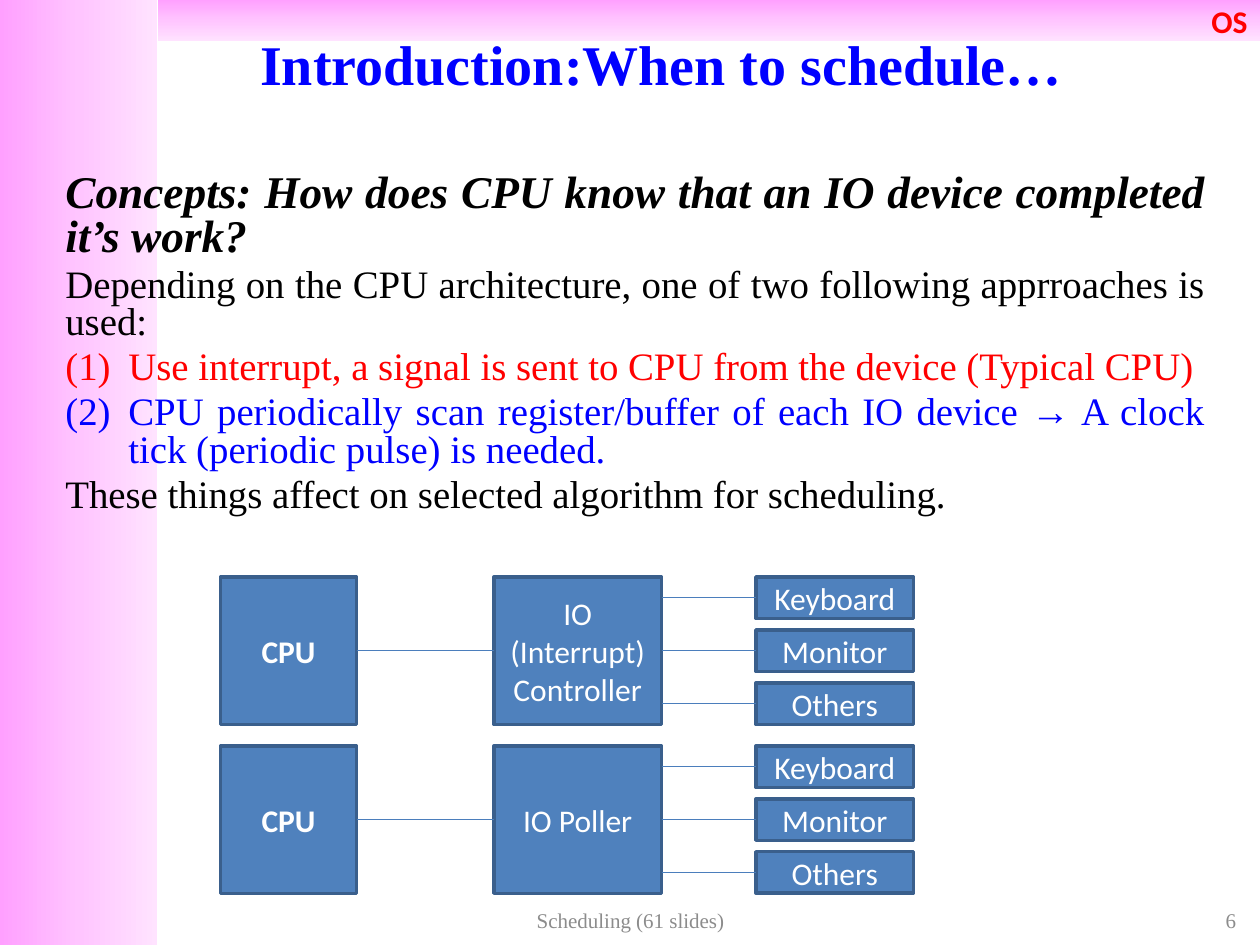
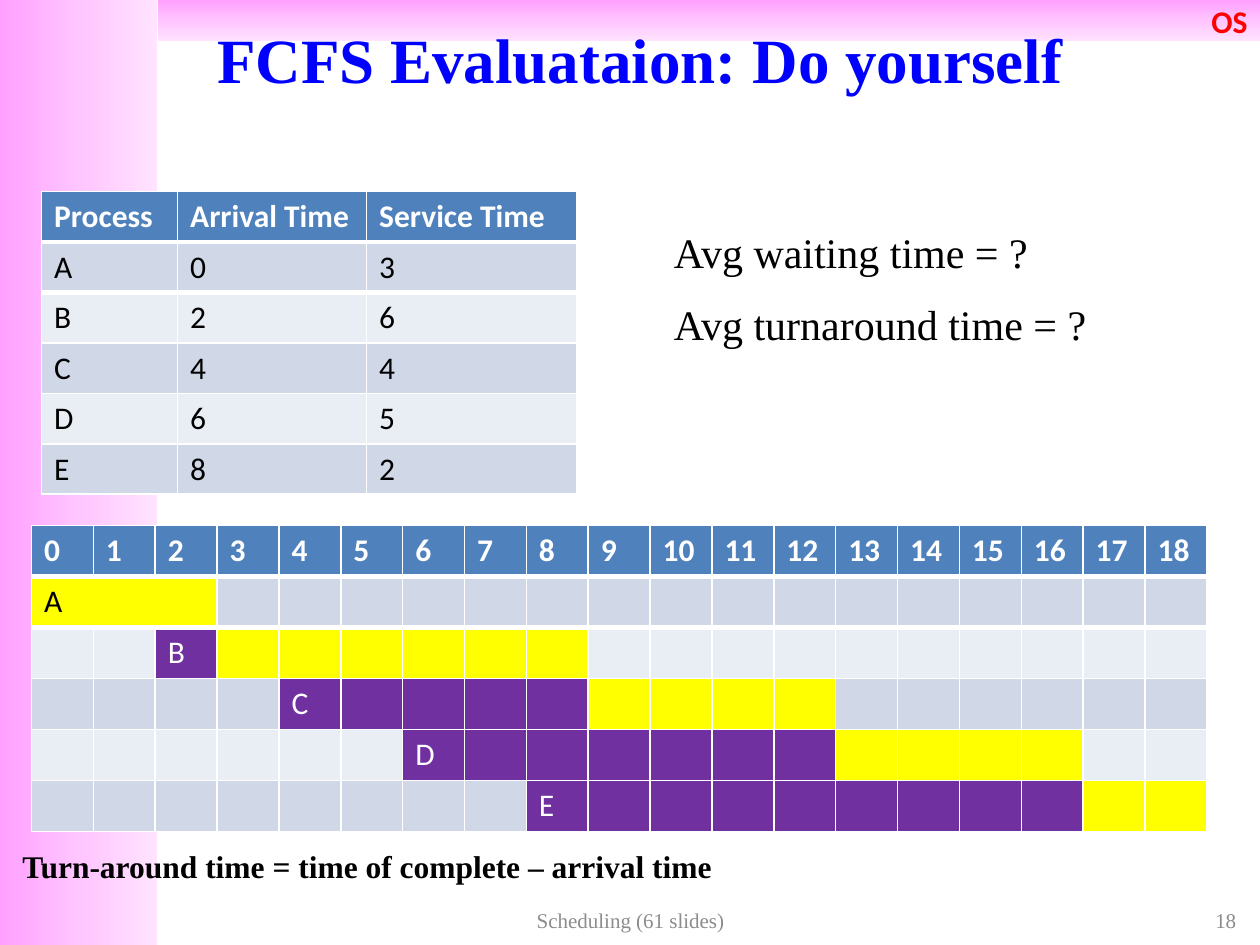
from lxml.etree import SubElement
from pptx import Presentation
from pptx.dml.color import RGBColor
from pptx.enum.shapes import MSO_CONNECTOR, MSO_SHAPE
from pptx.enum.text import MSO_ANCHOR as Anchor, PP_ALIGN as Align
from pptx.oxml.ns import qn
from pptx.util import Inches, Pt

SERIF, SANS = "Times New Roman", "Calibri"
COLORS = {
    "black": "000000", "white": "FFFFFF", "red": "FF0000", "title": "0000FF",
    "footer": "8C8C8C", "box": "4F81BD", "box_edge": "3A5F8C", "link": "4B7EBC",
    "odd_row": "D0D8E8", "even_row": "E9EDF4", "running": "FFFF00", "waiting": "7030A0",
}
BAND_STOPS = [(0, "FFA0FF"), (50, "FFC5FF"), (100, "FFE3FF")]
COURSE = "OS"
FOOTER = "Scheduling (61 slides)"

# Each paragraph: text, format that differs from the body default
CONCEPTS = [
    ("Concepts: How does CPU know that an IO device completed it’s work?",
     dict(size=25.9, bold=True, italic=True, before=0)),
    ("Depending on the CPU architecture, one of two following apprroaches is used:", {}),
    ("Use interrupt, a signal is sent to CPU from the device (Typical CPU)",
     dict(color="red", numbered=True)),
    ("CPU periodically scan register/buffer of each IO device → "
     "A clock tick (periodic pulse) is needed.", dict(color="title", numbered=True)),
    ("These things affect on selected algorithm for scheduling.", {}),
]
# Top of each diagram, text of its middle box
DIAGRAMS = [(4.58, "IO\v(Interrupt)\vController"), (5.92, "IO Poller")]
DEVICES = ["Keyboard", "Monitor", "Others"]

PROCESS_HEADER = ["Process", "Arrival Time", "Service Time"]
PROCESSES = [("A", 0, 3), ("B", 2, 6), ("C", 4, 4), ("D", 6, 5), ("E", 8, 2)]
PROCESS_WIDTHS = [1.08, 1.5, 1.67]
# Process, arrival, first running slot, slot after the last one
TIMELINE = [("A", 0, 0, 3), ("B", 2, 3, 9), ("C", 4, 9, 13), ("D", 6, 13, 17), ("E", 8, 17, 19)]
SLOTS = 19
QUESTIONS = [("Avg waiting time = ?", {}), ("Avg turnaround time = ?", dict(before=12.5))]
TURNAROUND = "Turn-around time = time of complete – arrival time"


def rgb(name):
    return RGBColor.from_string(COLORS[name])


def write_paragraph(paragraph, text, font=SERIF, size=18, color="black", bold=False,
                    italic=False, align=Align.LEFT, before=0, spacing=None, numbered=False):
    if numbered:
        props = paragraph._p.get_or_add_pPr()
        props.set("marL", str(Inches(0.5)))
        props.set("indent", str(-Inches(0.5)))
        SubElement(props, qn("a:buFont")).set("typeface", "+mj-lt")
        SubElement(props, qn("a:buAutoNum")).set("type", "arabicParenBoth")
    paragraph.text = text
    paragraph.alignment = align
    paragraph.space_before = Pt(before)
    if spacing:
        paragraph.line_spacing = spacing
    for run in paragraph.runs:
        run.font.name, run.font.size = font, Pt(size)
        run.font.bold, run.font.italic = bold, italic
        run.font.color.rgb = rgb(color)


def write(frame, content, anchor=Anchor.TOP, wrap=True, **style):
    """Fill a frame with one text, or with (text, format) paragraphs."""
    paragraphs = [(content, {})] if isinstance(content, str) else content
    frame.word_wrap = wrap
    frame.vertical_anchor = anchor
    for index, (text, own) in enumerate(paragraphs):
        paragraph = frame.add_paragraph() if index else frame.paragraphs[0]
        write_paragraph(paragraph, text, **{**style, **own})


def add_text(slide, place, content, **style):
    box = slide.shapes.add_textbox(*map(Inches, place))
    write(box.text_frame, content, **style)


def add_rect(slide, place):
    rect = slide.shapes.add_shape(MSO_SHAPE.RECTANGLE, *map(Inches, place))
    rect.shadow.inherit = False
    return rect


def add_band(slide, place, angle):
    band = add_rect(slide, place)
    band.line.fill.background()
    band.fill.gradient()
    band.fill.gradient_angle = angle
    stops = band._element.spPr.find(".//" + qn("a:gsLst"))
    stops.clear()
    for percent, color in BAND_STOPS:
        stop = SubElement(stops, qn("a:gs"), pos=str(percent * 1000))
        SubElement(stop, qn("a:srgbClr"), val=color)
    return band


def add_page(deck, number, title, title_place, title_size):
    slide = deck.slides.add_slide(deck.slide_layouts[6])
    add_band(slide, (0, 0, 1.25, 7.5), 0)
    top_band = add_band(slide, (1.25, 0, 8.75, 0.33), 270)
    middle = dict(anchor=Anchor.MIDDLE)
    write(top_band.text_frame, COURSE, font=SANS, color="red", bold=True,
          align=Align.RIGHT, **middle)
    add_text(slide, title_place, title, size=title_size, color="title", bold=True,
             align=Align.CENTER, **middle)
    footer = dict(size=12, color="footer", **middle)
    add_text(slide, (7.58, 7.17, 2.33, 0.27), str(number), align=Align.RIGHT, **footer)
    add_text(slide, (3.42, 7.17, 3.17, 0.27), FOOTER, align=Align.CENTER, **footer)
    return slide


def add_box(slide, place, text, bold=False):
    box = add_rect(slide, place)
    box.fill.solid()
    box.fill.fore_color.rgb = rgb("box")
    box.line.color.rgb = rgb("box_edge")
    box.line.width = Pt(2)
    write(box.text_frame, text, font=SANS, color="white", bold=bold,
          align=Align.CENTER, anchor=Anchor.MIDDLE)


def add_link(slide, start, end, y):
    link = slide.shapes.add_connector(MSO_CONNECTOR.STRAIGHT, *map(Inches, (start, y, end, y)))
    link.line.color.rgb = rgb("link")
    link.line.width = Pt(0.75)
    SubElement(link._element.spPr, qn("a:effectLst"))


def add_diagram(slide, top, controller):
    cpu_left, cpu_width = 1.75, 1.08
    controller_left, controller_width = 3.92, 1.33
    device_left, device_width, device_height = 6, 1.25, 0.33
    height = 1.17
    pitch = (height - device_height) / (len(DEVICES) - 1)

    add_box(slide, (cpu_left, top, cpu_width, height), "CPU", bold=True)
    add_box(slide, (controller_left, top, controller_width, height), controller)
    add_link(slide, cpu_left + cpu_width, controller_left, top + height / 2)
    for index, device in enumerate(DEVICES):
        device_top = top + index * pitch
        add_box(slide, (device_left, device_top, device_width, device_height), device)
        add_link(slide, controller_left + controller_width, device_left,
                 device_top + device_height / 2)


def set_border(cell, side, width):
    props = cell._tc.get_or_add_tcPr()
    line = SubElement(props, qn(f"a:ln{side}"), w=str(Pt(width)))
    SubElement(SubElement(line, qn("a:solidFill")), qn("a:srgbClr"), val=COLORS["white"])
    props.insert(0, line)


def fill_cell(cell, fill, text="", **style):
    cell.fill.solid()
    cell.fill.fore_color.rgb = rgb(fill)
    if text:
        write_paragraph(cell.text_frame.paragraphs[0], text, font=SANS, **style)


def add_grid(slide, place, header, row_count):
    """Add a table with its header row and plain row bands."""
    table = slide.shapes.add_table(row_count + 1, len(header), *map(Inches, place)).table
    for column, text in enumerate(header):
        fill_cell(table.cell(0, column), "box", text, color="white", bold=True)
        set_border(table.cell(0, column), "B", 3)
        set_border(table.cell(1, column), "T", 3)
        for row in range(1, row_count + 1):
            fill_cell(table.cell(row, column), "odd_row" if row % 2 else "even_row")
    return table


def add_process_table(slide):
    table = add_grid(slide, (0.33, 1.52, 4.25, 2.4), PROCESS_HEADER, len(PROCESSES))
    for column, width in zip(table.columns, PROCESS_WIDTHS):
        column.width = Inches(width)
    for row, process in enumerate(PROCESSES, 1):
        for column, value in enumerate(process):
            write_paragraph(table.cell(row, column).text_frame.paragraphs[0],
                            str(value), font=SANS)


def add_timeline(slide):
    header = [str(slot) for slot in range(SLOTS)]
    table = add_grid(slide, (0.25, 4.17, 9.33, 2.43), header, len(TIMELINE))
    for row, (process, arrival, start, end) in enumerate(TIMELINE, 1):
        for slot in range(arrival, end):
            fill_cell(table.cell(row, slot), "waiting" if slot < start else "running",
                      process if slot == arrival else "",
                      color="white" if arrival < start else "black")
        if arrival == start:
            table.cell(row, start).merge(table.cell(row, end - 1))


def main():
    deck = Presentation()
    deck.slide_width, deck.slide_height = Inches(10), Inches(7.5)

    concepts = add_page(deck, 6, "Introduction:When to schedule…", (0.75, 0, 9, 1), 32)
    add_text(concepts, (0.42, 1.33, 9.25, 2.92), CONCEPTS, size=22.2,
             align=Align.JUSTIFY, before=4.4, spacing=0.8)
    for top, controller in DIAGRAMS:
        add_diagram(concepts, top, controller)

    exercise = add_page(deck, 18, "FCFS Evaluataion: Do yourself", (0.58, 0, 9, 0.92), 36)
    add_text(exercise, (5.25, 1.75, 3.83, 1.11), QUESTIONS, size=24)
    add_timeline(exercise)
    add_text(exercise, (0.08, 6.67, 5.73, 0.4), TURNAROUND, bold=True, wrap=False)
    add_process_table(exercise)

    deck.save("out.pptx")


if __name__ == "__main__":
    main()
